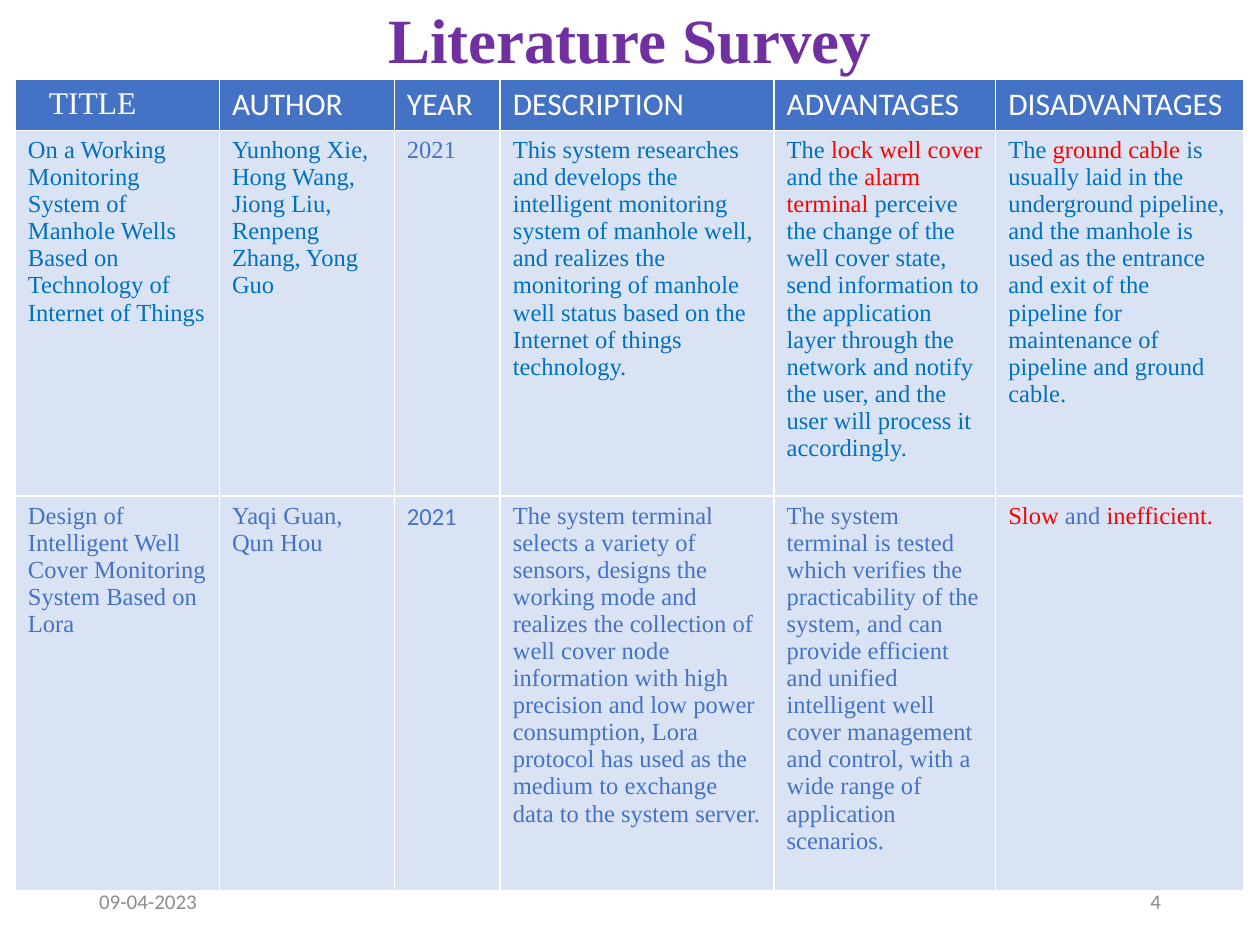
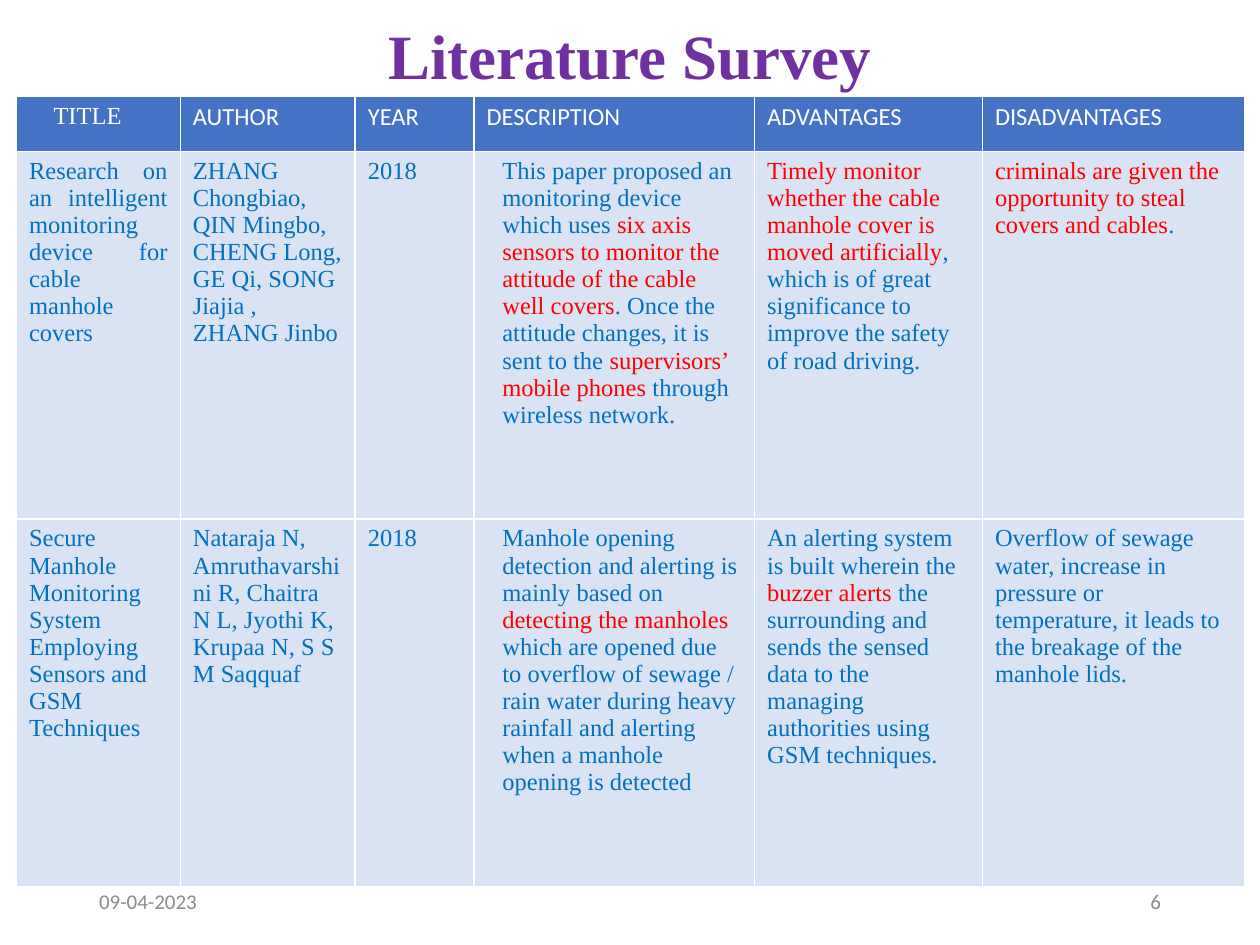
from pptx import Presentation
from pptx.dml.color import RGBColor
from pptx.enum.text import MSO_ANCHOR as Anchor, MSO_AUTO_SIZE as AutoSize, PP_ALIGN as Align
from pptx.util import Pt

PURPLE = RGBColor(0x70, 0x30, 0xA0)
HEADER_BLUE = RGBColor(0x44, 0x72, 0xC4)
TEXT_BLUE = RGBColor(0x00, 0x70, 0xC0)
PALE_BLUE = RGBColor(0xDA, 0xE3, 0xF3)
RED = RGBColor(0xFF, 0x00, 0x00)
GRAY = RGBColor(0x8C, 0x8C, 0x8C)
WHITE = RGBColor(0xFF, 0xFF, 0xFF)

SERIF = "Times New Roman"
SANS = "Calibri"
BODY_SIZE = 14
CELL_MARGIN = 7.2
MARGIN_LEFT = 49.5
CONTENT_WIDTH = 621
FOOTER_WIDTH = 162
HEADINGS = ["TITLE", "AUTHOR", "YEAR", "DESCRIPTION", "ADVANTAGES", "DISADVANTAGES"]
DATE = "09-04-2023"


class SurveyDeck:
    def __init__(self):
        self.deck = Presentation()
        self.deck.slide_width, self.deck.slide_height = Pt(720), Pt(540)
        self.page = None

    def add_page(self, title_top, number):
        self.page = self.deck.slides.add_slide(self.deck.slide_layouts[5])
        self.title("Literature Survey", title_top)
        self.footer(DATE, MARGIN_LEFT, Align.LEFT)
        self.footer(number, MARGIN_LEFT + CONTENT_WIDTH - FOOTER_WIDTH, Align.RIGHT)

    def style(self, para, font, size, color, bold=False, align=Align.LEFT):
        para.alignment = align
        para.font.name = font
        para.font.size = Pt(size)
        para.font.bold = bold
        para.font.color.rgb = color

    def title(self, text, top):
        box = self.page.shapes.title
        box.left, box.top = Pt(MARGIN_LEFT), Pt(top)
        box.width, box.height = Pt(CONTENT_WIDTH), Pt(42)
        frame = box.text_frame
        frame.text = text
        frame.auto_size = AutoSize.NONE
        frame.vertical_anchor = Anchor.MIDDLE
        para = frame.paragraphs[0]
        para.line_spacing = 0.9
        self.style(para, SERIF, 36, PURPLE, bold=True, align=Align.CENTER)

    def footer(self, text, left, align):
        box = self.page.shapes.add_textbox(Pt(left), Pt(500.5), Pt(FOOTER_WIDTH), Pt(28.75))
        frame = box.text_frame
        frame.word_wrap = True
        frame.vertical_anchor = Anchor.MIDDLE
        frame.text = text
        self.style(frame.paragraphs[0], SANS, 12, GRAY, align=align)

    def table(self, left, top, widths, heights, rows, header_size, variants):
        table = self.page.shapes.add_table(
            len(heights), len(widths), Pt(left), Pt(top), Pt(sum(widths)), Pt(sum(heights))).table
        for column, width in zip(table.columns, widths):
            column.width = Pt(width)
        for row, height in zip(table.rows, heights):
            row.height = Pt(height)
        for row_index, texts in enumerate([HEADINGS] + rows):
            if row_index == 0:
                base = dict(fill=HEADER_BLUE, color=WHITE, font=SANS, size=header_size)
            else:
                base = dict(fill=PALE_BLUE, color=TEXT_BLUE, font=SERIF, size=BODY_SIZE)
            for column_index, text in enumerate(texts):
                variant = variants.get((row_index, column_index), {})
                self.cell(table.cell(row_index, column_index), text, **{**base, **variant})

    def cell(self, cell, text, fill, color, font, size, indent=0, align=Align.LEFT):
        cell.fill.solid()
        cell.fill.fore_color.rgb = fill
        cell.margin_left = Pt(CELL_MARGIN + indent)
        frame = cell.text_frame
        for index, line in enumerate(text.split("\n")):
            para = frame.add_paragraph() if index else frame.paragraphs[0]
            self.style(para, font, size, color, align=align)
            for part, words in enumerate(line.split("*")):
                if words:
                    span = para.add_run()
                    span.text = words
                    span.font.name = font
                    span.font.size = Pt(size)
                    span.font.bold = False
                    span.font.color.rgb = RED if part % 2 else color


WELL_STUDIES = [
    [
        "On a Working Monitoring System of Manhole Wells Based on Technology of Internet of Things",
        "Yunhong Xie, Hong Wang, Jiong Liu, Renpeng Zhang, Yong Guo",
        "2021",
        "This system researches and develops the intelligent monitoring system of manhole well, "
        "and realizes the monitoring of manhole well status based on the Internet of things technology.",
        "The *lock well cover *and the *alarm terminal *perceive the change of the well cover state, "
        "send information to the application layer through the network and notify the user, "
        "and the user will process it accordingly.",
        "The *ground cable *is usually laid in the underground pipeline, and the manhole is used as "
        "the entrance and exit of the pipeline for maintenance of pipeline and ground cable.",
    ],
    [
        "Design of Intelligent Well Cover Monitoring System Based on Lora",
        "Yaqi Guan, Qun Hou",
        "2021",
        "The system terminal selects a variety of sensors, designs the working mode and realizes the "
        "collection of well cover node information with high precision and low power consumption, "
        "Lora protocol has used as the medium to exchange data to the system server.",
        "The system terminal is tested which verifies the practicability of the system, and can provide "
        "efficient and unified intelligent well cover management and control, "
        "with a wide range of application scenarios.",
        "*Slow* and *inefficient.*",
    ],
]

COVER_STUDIES = [
    [
        "Research on an intelligent monitoring\ndevice for cable manhole covers",
        "ZHANG Chongbiao, QIN Mingbo, CHENG Long, GE Qi, SONG Jiajia , ZHANG Jinbo",
        "2018",
        "This paper proposed an monitoring device which uses *six axis sensors to monitor the attitude "
        "of the cable well covers*. Once the attitude changes, it is sent to the "
        "*supervisors’ mobile phones *through wireless network.",
        "*Timely monitor whether the cable*\n*manhole cover is moved artificially*, "
        "which is of great significance to improve the safety of road driving.",
        "*criminals are given the opportunity to steal covers and cables*.",
    ],
    [
        "Secure Manhole Monitoring System Employing Sensors and GSM Techniques",
        "Nataraja N, Amruthavarshini R, Chaitra N L, Jyothi K, Krupaa N, S S M Saqquaf",
        "2018",
        "Manhole opening detection and alerting is mainly based on *detecting the manholes *which are "
        "opened due to overflow of sewage / rain water during heavy rainfall and alerting "
        "when a manhole opening is detected",
        "An alerting system is built wherein the *buzzer alerts *the surrounding and sends the sensed "
        "data to the managing authorities using GSM techniques.",
        "Overflow of sewage water, increase in pressure or temperature, "
        "it leads to the breakage of the manhole lids.",
    ],
]


def main():
    survey = SurveyDeck()

    survey.add_page(title_top=3.5, number="4")
    well_variants = {(2, column): dict(color=HEADER_BLUE) for column in range(len(HEADINGS))}
    well_variants[0, 0] = dict(font=SERIF, indent=12)
    well_variants[1, 2] = dict(color=HEADER_BLUE)
    well_variants[2, 2] = dict(color=HEADER_BLUE, font=SANS)
    survey.table(8.8, 45.5, [116.6, 100, 60.5, 156.5, 126.7, 142], [29, 195, 221],
                 WELL_STUDIES, 18, well_variants)

    survey.add_page(title_top=13, number="6")
    cover_variants = {(row, 3): dict(indent=9) for row in (1, 2)}
    cover_variants[0, 0] = dict(font=SERIF, indent=14)
    cover_variants[1, 0] = dict(align=Align.JUSTIFY)
    survey.table(9.4, 55, [93.6, 100, 67.9, 160.3, 130.2, 149.8], [31.5, 210, 210],
                 COVER_STUDIES, 14, cover_variants)

    survey.deck.save("out.pptx")


if __name__ == "__main__":
    main()
